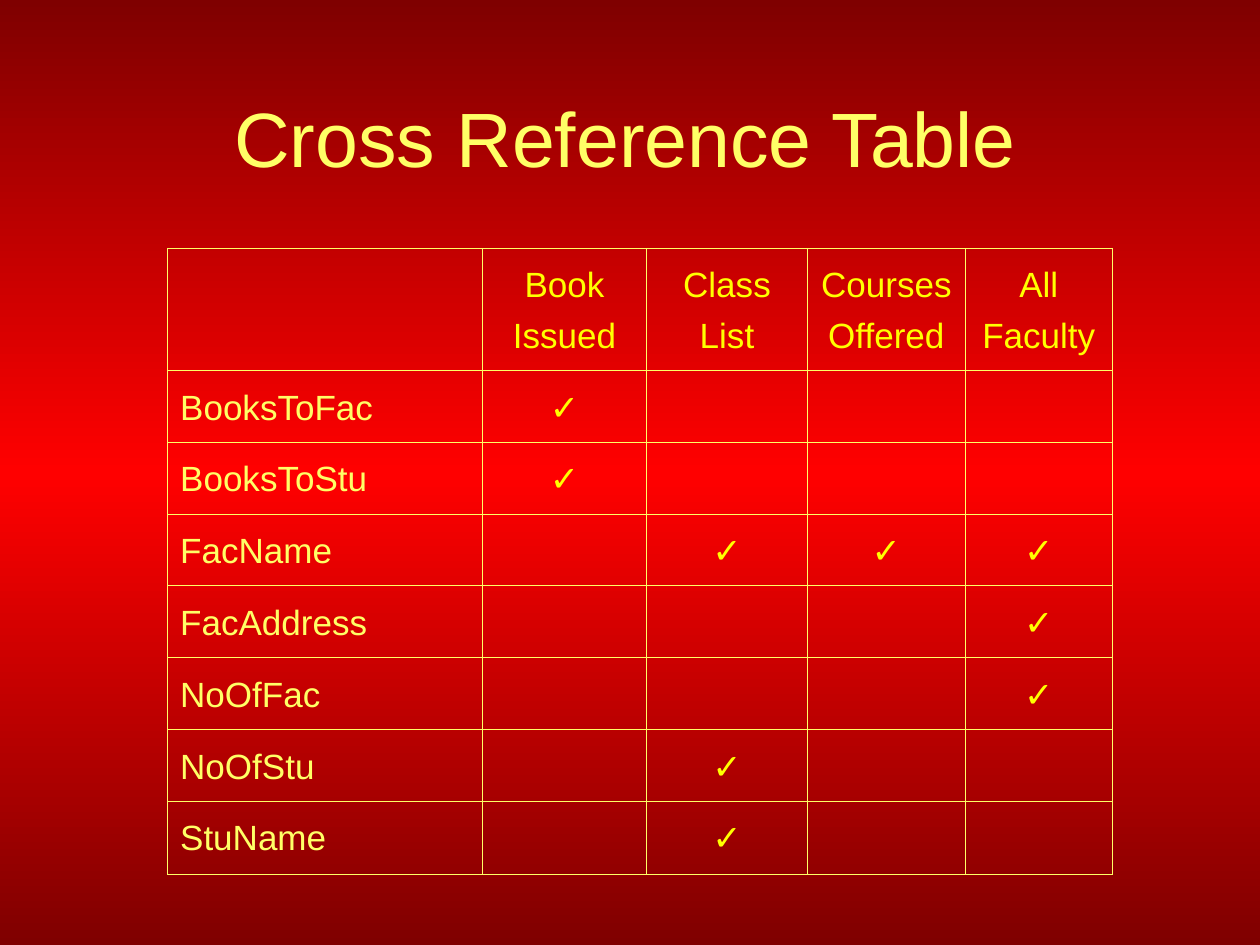
from dataclasses import dataclass

from lxml.etree import SubElement
from pptx import Presentation
from pptx.dml.color import RGBColor
from pptx.enum.text import MSO_AUTO_SIZE as AutoSize, PP_ALIGN as Align
from pptx.oxml import parse_xml
from pptx.oxml.ns import nsdecls, qn
from pptx.util import Inches, Pt

COLORS = {
    "dark": "7F0000",
    "bright": "FF0000",
    "heading": "FFFF00",
    "label": "FFFF66",
}
FONT = "Arial"
CHECK = "✓"
BORDER_WIDTH = Pt(0.45)

REPORTS = ["Book Issued", "Class List", "Courses Offered", "All Faculty"]
COLUMN_WIDTHS = [2.5, 1.3, 1.28, 1.25, 1.17]
ROW_HEIGHTS = [0.97] + [0.57] * 6 + [0.58]


@dataclass(frozen=True)
class DataItem:
    name: str
    reports: tuple[str, ...]


DATA_ITEMS = [
    DataItem("BooksToFac", ("Book Issued",)),
    DataItem("BooksToStu", ("Book Issued",)),
    DataItem("FacName", ("Class List", "Courses Offered", "All Faculty")),
    DataItem("FacAddress", ("All Faculty",)),
    DataItem("NoOfFac", ("All Faculty",)),
    DataItem("NoOfStu", ("Class List",)),
    DataItem("StuName", ("Class List",)),
]


def set_attributes(target, values: dict) -> None:
    for name, value in values.items():
        setattr(target, name, value)


def write_text(text_frame, text: str, size: int, color: str, paragraph_format: dict) -> None:
    paragraph = text_frame.paragraphs[0]
    set_attributes(paragraph, paragraph_format)
    run = paragraph.add_run()
    run.text = text
    set_attributes(run.font, {"name": FONT, "size": Pt(size)})
    run.font.color.rgb = RGBColor.from_string(COLORS[color])


def paint_background(slide) -> None:
    fill = slide.background.fill
    fill.gradient()
    fill.gradient_angle = 270
    stop_list = fill._fill._gradFill.find(qn("a:gsLst"))
    for stop in list(stop_list):
        stop_list.remove(stop)
    for position, color in ((0, "dark"), (50, "bright"), (100, "dark")):
        stop = SubElement(stop_list, qn("a:gs"), pos=str(position * 1000))
        SubElement(stop, qn("a:srgbClr"), val=COLORS[color])


def add_borders(cell) -> None:
    properties = cell._tc.get_or_add_tcPr()
    for index, side in enumerate("LRTB"):
        properties.insert(index, parse_xml(
            f'<a:ln{side} {nsdecls("a")} w="{BORDER_WIDTH}"><a:solidFill>'
            f'<a:srgbClr val="{COLORS["label"]}"/></a:solidFill></a:ln{side}>'
        ))


def add_title(slide, title: str) -> None:
    shape = slide.shapes.add_textbox(Inches(1.76), Inches(0.67), Inches(6.49), Inches(0.84))
    set_attributes(shape.text_frame, {"word_wrap": False, "auto_size": AutoSize.SHAPE_TO_FIT_TEXT})
    write_text(shape.text_frame, title, 44, "label", {"alignment": Align.LEFT})


def add_cross_reference(slide, items: list[DataItem]) -> None:
    rows = [["", *REPORTS]]
    for item in items:
        rows.append([item.name, *(CHECK if report in item.reports else "" for report in REPORTS)])

    table = slide.shapes.add_table(
        len(rows), len(COLUMN_WIDTHS), Inches(1.33), Inches(1.97),
        Inches(sum(COLUMN_WIDTHS)), Inches(sum(ROW_HEIGHTS)),
    ).table
    set_attributes(table, {"first_row": False, "horz_banding": False})
    for column, width in zip(table.columns, COLUMN_WIDTHS):
        column.width = Inches(width)
    for row, height in zip(table.rows, ROW_HEIGHTS):
        row.height = Inches(height)

    for row_index, texts in enumerate(rows):
        for column_index, text in enumerate(texts):
            cell = table.cell(row_index, column_index)
            cell.fill.background()
            add_borders(cell)
            if text:
                is_label = column_index == 0
                write_text(
                    cell.text_frame, text, 20, "label" if is_label else "heading",
                    {"alignment": Align.LEFT if is_label else Align.CENTER, "line_spacing": 1.3},
                )


def main() -> None:
    presentation = Presentation()
    set_attributes(presentation, {"slide_width": Inches(10), "slide_height": Inches(7.5)})
    slide = presentation.slides.add_slide(presentation.slide_layouts[6])
    paint_background(slide)
    add_cross_reference(slide, DATA_ITEMS)
    add_title(slide, "Cross Reference Table")
    presentation.save("out.pptx")


if __name__ == "__main__":
    main()
